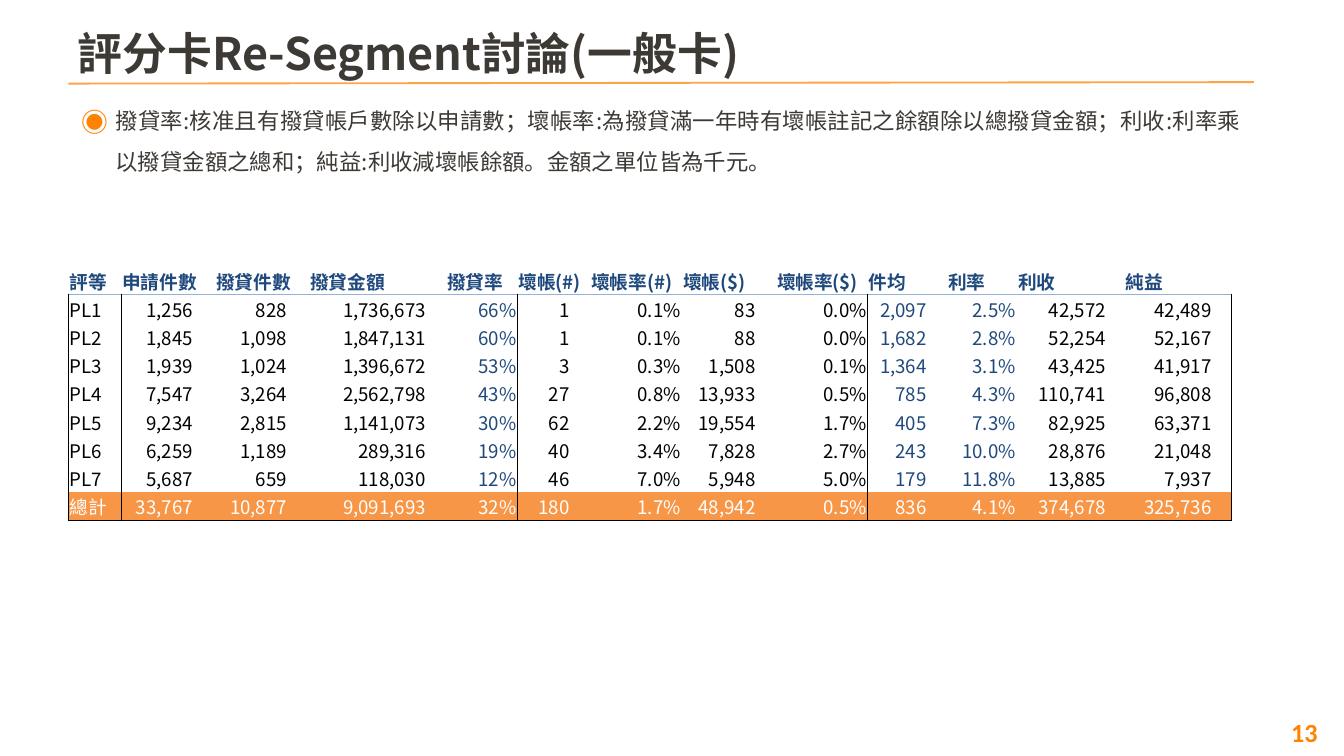
"""Build the scorecard re-segmentation slide with its rating table."""
import dataclasses

import lxml.etree
import pptx
import pptx.dml.color
import pptx.enum.shapes
import pptx.enum.text
import pptx.oxml.ns
import pptx.util

Pt = pptx.util.Pt
RGBColor = pptx.dml.color.RGBColor
Align = pptx.enum.text.PP_ALIGN
Anchor = pptx.enum.text.MSO_ANCHOR
qn = pptx.oxml.ns.qn

INK = RGBColor(0x3D, 0x39, 0x35)
ORANGE = RGBColor(0xFF, 0x82, 0x00)
RULE_ORANGE = RGBColor(0xFF, 0xA3, 0x47)
TOTAL_ORANGE = RGBColor(0xF7, 0x96, 0x46)
NAVY = RGBColor(0x1F, 0x49, 0x7D)
HEADER_BLUE = RGBColor(0x95, 0xB3, 0xD7)
BLACK = RGBColor(0, 0, 0)
WHITE = RGBColor(0xFF, 0xFF, 0xFF)

FONT = "Noto Sans CJK SC"
LEFT = 36.7
CELL_INSET = 0.7
ROW_HEIGHT = 13.3
GROUP_EDGES = {0, 1, 5, 9, 13}


@dataclasses.dataclass(frozen=True)
class Column:
    heading: str
    width: float
    right_inset: float = CELL_INSET
    color: RGBColor = BLACK
    align: Align = Align.RIGHT


@dataclasses.dataclass(frozen=True)
class Edge:
    color: RGBColor
    width: float


COLUMNS = [
    Column("評等", 28.1, align=Align.LEFT),
    Column("申請件數", 50.4, 12),
    Column("撥貸件數", 50.4, 12),
    Column("撥貸金額", 73.4, 11),
    Column("撥貸率", 38.2, color=NAVY),
    Column("壞帳(#)", 38.9, 11),
    Column("壞帳率(#)", 49.2),
    Column("壞帳($)", 50.4, 11),
    Column("壞帳率($)", 49.2),
    Column("件均", 42.5, 11, NAVY),
    Column("利率", 37.4, color=NAVY),
    Column("利收", 57.6, 10),
    Column("純益", 57.6, 11),
]

ROWS = [
    "PL1 1,256 828 1,736,673 66% 1 0.1% 83 0.0% 2,097 2.5% 42,572 42,489",
    "PL2 1,845 1,098 1,847,131 60% 1 0.1% 88 0.0% 1,682 2.8% 52,254 52,167",
    "PL3 1,939 1,024 1,396,672 53% 3 0.3% 1,508 0.1% 1,364 3.1% 43,425 41,917",
    "PL4 7,547 3,264 2,562,798 43% 27 0.8% 13,933 0.5% 785 4.3% 110,741 96,808",
    "PL5 9,234 2,815 1,141,073 30% 62 2.2% 19,554 1.7% 405 7.3% 82,925 63,371",
    "PL6 6,259 1,189 289,316 19% 40 3.4% 7,828 2.7% 243 10.0% 28,876 21,048",
    "PL7 5,687 659 118,030 12% 46 7.0% 5,948 5.0% 179 11.8% 13,885 7,937",
    "總計 33,767 10,877 9,091,693 32% 180 1.7% 48,942 0.5% 836 4.1% 374,678 325,736",
]


def write(frame, text: str, size: float, color: RGBColor, bold: bool = False,
          align: Align = Align.LEFT, font: str = FONT):
    """Set one formatted paragraph and return it."""
    frame.text = text
    para = frame.paragraphs[0]
    para.alignment = align
    for span in para.runs:
        span.font.size = Pt(size)
        span.font.bold = bold
        span.font.color.rgb = color
        span.font.name = font
        east_asian = lxml.etree.SubElement(span.font._element, qn("a:ea"))
        east_asian.set("typeface", font)
    return para


def place(box, left: float, top: float, width: float, height: float) -> None:
    """Position a shape in points."""
    box.left, box.top, box.width, box.height = map(Pt, (left, top, width, height))


def set_insets(target, left: float, top: float, right: float, bottom: float) -> None:
    """Set the margins of a text frame or cell."""
    target.margin_left, target.margin_top = Pt(left), Pt(top)
    target.margin_right, target.margin_bottom = Pt(right), Pt(bottom)


def add_bullet(para) -> None:
    """Give a paragraph a hanging orange bullet."""
    properties = para._p.get_or_add_pPr()
    properties.set("marL", str(Pt(18)))
    properties.set("indent", str(Pt(-18)))
    color = lxml.etree.SubElement(properties, qn("a:buClr"))
    lxml.etree.SubElement(color, qn("a:srgbClr")).set("val", str(ORANGE))
    lxml.etree.SubElement(properties, qn("a:buSzPct")).set("val", "120000")
    lxml.etree.SubElement(properties, qn("a:buFont")).set("typeface", FONT)
    lxml.etree.SubElement(properties, qn("a:buChar")).set("char", "◉")


def set_border(cell, side: str, edge: Edge | None) -> None:
    """Draw or clear one side of a cell."""
    line = lxml.etree.SubElement(cell._tc.get_or_add_tcPr(), qn(f"a:ln{side}"))
    if edge is None:
        lxml.etree.SubElement(line, qn("a:noFill"))
        return
    line.set("w", str(Pt(edge.width)))
    fill = lxml.etree.SubElement(line, qn("a:solidFill"))
    lxml.etree.SubElement(fill, qn("a:srgbClr")).set("val", str(edge.color))


def fill_cell(cell, text: str, row: int, index: int) -> None:
    """Write and style the table cell at a row and column."""
    column = COLUMNS[index]
    is_header, is_total = row == 0, row == len(ROWS)
    cell.vertical_anchor = Anchor.BOTTOM
    right_inset = CELL_INSET if is_header else column.right_inset
    set_insets(cell, CELL_INSET, CELL_INSET, right_inset, 0)
    color = NAVY if is_header else WHITE if is_total else column.color
    align = Align.LEFT if is_header else column.align
    write(cell.text_frame, text, 10, color, is_header, align)

    thin, header_rule = Edge(BLACK, 0.5), Edge(HEADER_BLUE, 1)
    set_border(cell, "L", thin if not is_header and index in GROUP_EDGES else None)
    set_border(cell, "R", thin if not is_header and index + 1 in GROUP_EDGES else None)
    set_border(cell, "T", header_rule if row == 1 else None)
    set_border(cell, "B", header_rule if is_header else thin if is_total else None)
    if is_total:
        cell.fill.solid()
        cell.fill.fore_color.rgb = TOTAL_ORANGE
    else:
        cell.fill.background()


def add_rating_table(page) -> None:
    """Add the table of ratings."""
    width = sum(column.width for column in COLUMNS)
    lines = [[column.heading for column in COLUMNS]] + [row.split() for row in ROWS]
    table = page.shapes.add_table(
        len(lines), len(COLUMNS), Pt(LEFT), Pt(142.6), Pt(width), Pt(ROW_HEIGHT * len(lines))
    ).table
    table.first_row = table.horz_banding = False
    for index, column in enumerate(COLUMNS):
        table.columns[index].width = Pt(column.width)
    for row, texts in enumerate(lines):
        table.rows[row].height = Pt(ROW_HEIGHT)
        for index, text in enumerate(texts):
            fill_cell(table.cell(row, index), text, row, index)


def main() -> None:
    """Build and save the deck."""
    deck = pptx.Presentation()
    deck.slide_width, deck.slide_height = Pt(720), Pt(405)
    page = deck.slides.add_slide(deck.slide_layouts[1])

    title, body = page.placeholders
    place(title, LEFT, 10.8, 465, 33.8)
    place(body, LEFT, 46.8, 635, 134.6)
    for box in (title, body):
        box.text_frame.auto_size = pptx.enum.text.MSO_AUTO_SIZE.NONE
        box.text_frame.vertical_anchor = Anchor.TOP
    set_insets(title.text_frame, 5, 3, 5, 3)
    write(title.text_frame, "評分卡Re-Segment討論(一般卡)", 24, INK, True)
    para = write(
        body.text_frame,
        "撥貸率:核准且有撥貸帳戶數除以申請數；壞帳率:為撥貸滿一年時有壞帳註記之餘額除以總撥貸金額；"
        "利收:利率乘以撥貸金額之總和；純益:利收減壞帳餘額。金額之單位皆為千元。",
        12, INK, align=Align.JUSTIFY,
    )
    para.line_spacing, para.space_before = 1.5, Pt(10)
    add_bullet(para)

    rule = page.shapes.add_connector(
        pptx.enum.shapes.MSO_CONNECTOR.STRAIGHT, Pt(LEFT), Pt(44.8), Pt(671.8), Pt(44)
    )
    rule.line.color.rgb, rule.line.width = RULE_ORANGE, Pt(1)
    lxml.etree.SubElement(rule._element.spPr, qn("a:effectLst"))

    add_rating_table(page)

    number = page.shapes.add_textbox(Pt(677.5), Pt(376.6), Pt(42.5), Pt(31.7))
    number.text_frame.word_wrap = True
    number.text_frame.vertical_anchor = Anchor.MIDDLE
    set_insets(number.text_frame, 3, 3, 3, 3)
    write(number.text_frame, "13", 14, ORANGE, True, Align.CENTER, "Calibri")

    deck.save("out.pptx")


if __name__ == "__main__":
    main()
